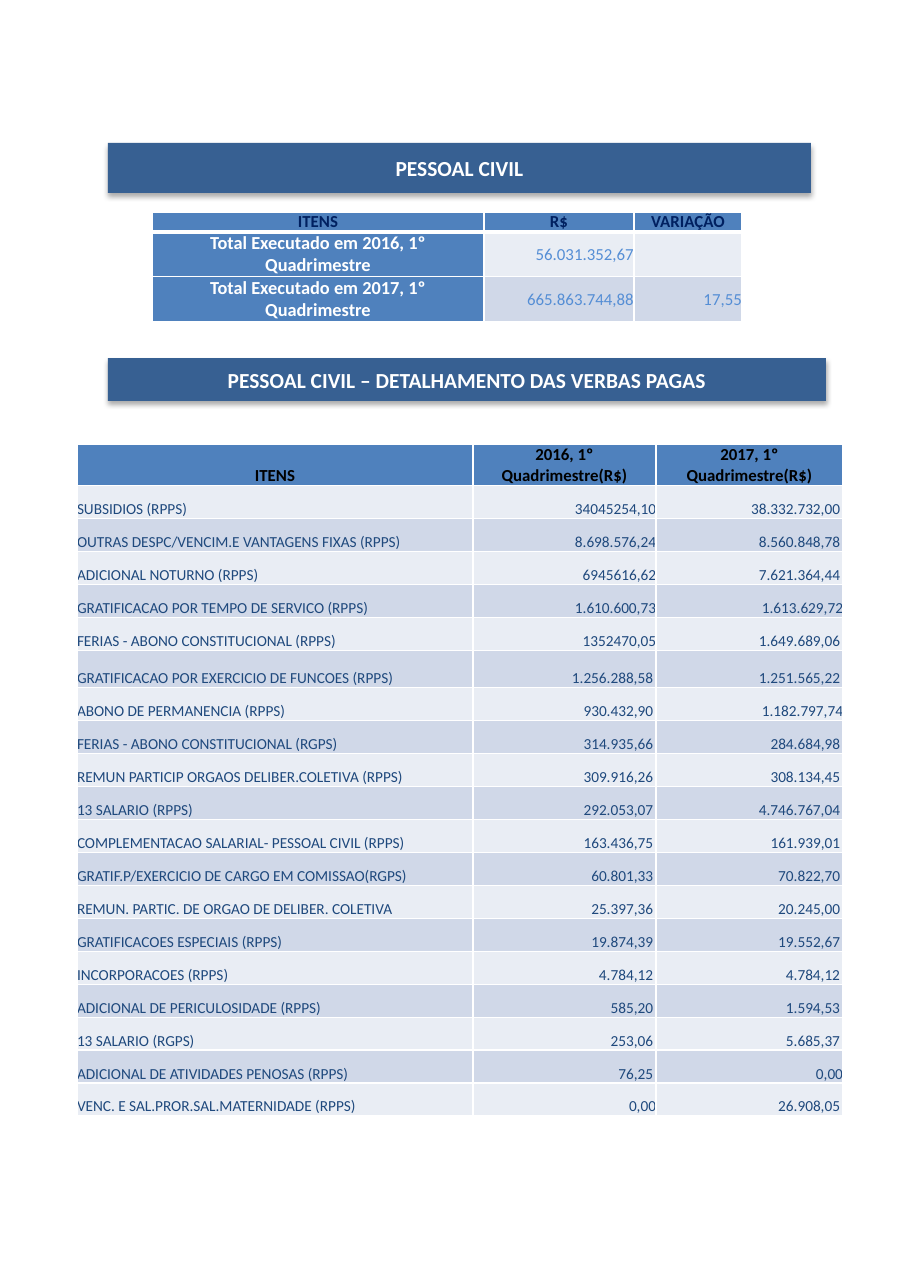
from dataclasses import dataclass

from pptx import Presentation
from pptx.dml.color import RGBColor
from pptx.enum.shapes import MSO_SHAPE as Preset
from pptx.enum.text import MSO_ANCHOR as Anchor, PP_ALIGN as Align
from pptx.oxml import parse_xml
from pptx.oxml.ns import nsdecls, qn
from pptx.slide import Slide
from pptx.table import Table, _Cell as Cell
from pptx.text.text import TextFrame
from pptx.util import Emu, Pt

EMU_PER_PX = 8298


@dataclass(frozen=True)
class Theme:
    font: str = "Calibri"
    banner: str = "376092"
    header: str = "4F81BD"
    bands: tuple[str, str] = ("E9EDF4", "D0D8E8")
    white: str = "FFFFFF"
    black: str = "000000"
    navy: str = "002060"
    total: str = "558ED5"
    detail: str = "1F497D"
    banner_size: int = 14
    label_size: int = 12
    table_size: int = 11
    detail_size: int = 10


@dataclass(frozen=True)
class Banner:
    text: str
    left: int
    top: int
    width: int
    height: int


@dataclass(frozen=True)
class Total:
    label: str
    amount: str
    variation: str = ""


@dataclass(frozen=True)
class Payment:
    label: str
    amounts: tuple[str, str]
    flush: tuple[bool, bool] = (False, False)


THEME = Theme()
VALUE_GAP = 3
LABEL_MARGIN = 44

BANNERS = [
    Banner("PESSOAL CIVIL", 108, 143, 703, 50),
    Banner("PESSOAL CIVIL – DETALHAMENTO DAS VERBAS PAGAS", 108, 358, 718, 43),
]
TOTAL_HEADINGS = ["ITENS", "R$", "VARIAÇÃO"]
TOTALS = [
    Total("Total Executado em 2016, 1º Quadrimestre", "56.031.352,67"),
    Total("Total Executado em 2017, 1º Quadrimestre", "665.863.744,88", "17,55"),
]
PAYMENT_HEADINGS = ["ITENS", "2016, 1º Quadrimestre(R$)", "2017, 1º Quadrimestre(R$)"]
PAYMENTS = [
    Payment("SUBSIDIOS (RPPS)", ("34045254,10", "38.332.732,00"), (True, False)),
    Payment("OUTRAS DESPC/VENCIM.E VANTAGENS FIXAS (RPPS)", ("8.698.576,24", "8.560.848,78"), (True, False)),
    Payment("ADICIONAL NOTURNO (RPPS)", ("6945616,62", "7.621.364,44"), (True, False)),
    Payment("GRATIFICACAO POR TEMPO DE SERVICO (RPPS)", ("1.610.600,73", "1.613.629,72"), (True, True)),
    Payment("FERIAS - ABONO CONSTITUCIONAL (RPPS)", ("1352470,05", "1.649.689,06"), (True, False)),
    Payment("GRATIFICACAO POR EXERCICIO DE FUNCOES (RPPS)", ("1.256.288,58", "1.251.565,22")),
    Payment("ABONO DE PERMANENCIA (RPPS)", ("930.432,90", "1.182.797,74"), (False, True)),
    Payment("FERIAS - ABONO CONSTITUCIONAL (RGPS)", ("314.935,66", "284.684,98")),
    Payment("REMUN PARTICIP ORGAOS DELIBER.COLETIVA (RPPS)", ("309.916,26", "308.134,45")),
    Payment("13 SALARIO (RPPS)", ("292.053,07", "4.746.767,04")),
    Payment("COMPLEMENTACAO SALARIAL- PESSOAL CIVIL (RPPS)", ("163.436,75", "161.939,01")),
    Payment("GRATIF.P/EXERCICIO DE CARGO EM COMISSAO(RGPS)", ("60.801,33", "70.822,70")),
    Payment("REMUN. PARTIC. DE ORGAO DE DELIBER. COLETIVA", ("25.397,36", "20.245,00")),
    Payment("GRATIFICACOES ESPECIAIS (RPPS)", ("19.874,39", "19.552,67")),
    Payment("INCORPORACOES (RPPS)", ("4.784,12", "4.784,12")),
    Payment("ADICIONAL DE PERICULOSIDADE (RPPS)", ("585,20", "1.594,53")),
    Payment("13 SALARIO (RGPS)", ("253,06", "5.685,37")),
    Payment("ADICIONAL DE ATIVIDADES PENOSAS (RPPS)", ("76,25", "0,00"), (False, True)),
    Payment("VENC. E SAL.PROR.SAL.MATERNIDADE (RPPS)", ("0,00", "26.908,05"), (True, False)),
]
PAYMENT_HEIGHTS = [41] + [33] * 5 + [37] + [33] * 13


def px(length: int) -> Emu:
    return Emu(length * EMU_PER_PX)


def write_text(frame: TextFrame, text: str, *, size: int, color: str,
               bold: bool = False, align: Align = Align.CENTER) -> None:
    paragraph = frame.paragraphs[0]
    paragraph.alignment = align
    run = paragraph.add_run()
    run.text = text
    run.font.name = THEME.font
    run.font.size = Pt(size)
    run.font.bold = bold
    run.font.color.rgb = RGBColor.from_string(color)


def draw_banner(slide: Slide, banner: Banner) -> None:
    shape = slide.shapes.add_shape(Preset.RECTANGLE, px(banner.left), px(banner.top),
                                   px(banner.width), px(banner.height))
    shape.fill.solid()
    shape.fill.fore_color.rgb = RGBColor.from_string(THEME.banner)
    shape.line.fill.background()
    shape.shadow.inherit = False
    effects = shape._element.spPr.find(qn("a:effectLst"))
    effects.append(parse_xml(
        f'<a:outerShdw {nsdecls("a")} blurRad="{Pt(3.5)}" dist="{Pt(2.2)}" dir="5400000" rotWithShape="0">'
        f'<a:srgbClr val="{THEME.black}"><a:alpha val="32000"/></a:srgbClr></a:outerShdw>'))
    shape.text_frame.word_wrap = True
    shape.text_frame.vertical_anchor = Anchor.MIDDLE
    write_text(shape.text_frame, banner.text, size=THEME.banner_size, color=THEME.white, bold=True)


def draw_table(slide: Slide, left: int, top: int, widths: list[int], heights: list[int]) -> Table:
    frame = slide.shapes.add_table(len(heights), len(widths), px(left), px(top),
                                   px(sum(widths)), px(sum(heights)))
    table = frame.table
    table.first_row = table.horz_banding = False
    for column, width in zip(table.columns, widths):
        column.width = px(width)
    for row, height in zip(table.rows, heights):
        row.height = px(height)
    return table


def fill_cell(cell: Cell, text: str, *, fill: str, size: int, color: str, bold: bool = False,
              align: Align = Align.CENTER, anchor: Anchor = Anchor.BOTTOM, left: int = 0,
              right: int = 0, top_line: int = 1, bottom_line: int = 1) -> None:
    cell.margin_left, cell.margin_right = px(left), px(right)
    cell.margin_top = cell.margin_bottom = 0
    cell.vertical_anchor = anchor
    properties = cell._tc.get_or_add_tcPr()
    for side, width in zip("LRTB", (1, 1, top_line, bottom_line)):
        properties.append(parse_xml(
            f'<a:ln{side} {nsdecls("a")} w="{Pt(width)}"><a:solidFill>'
            f'<a:srgbClr val="{THEME.white}"/></a:solidFill></a:ln{side}>'))
    cell.fill.solid()
    cell.fill.fore_color.rgb = RGBColor.from_string(fill)
    if text:
        write_text(cell.text_frame, text, size=size, color=color, bold=bold, align=align)


def draw_totals(slide: Slide) -> None:
    table = draw_table(slide, 152, 211, [332, 150, 108], [20, 45, 45])
    for column, heading in enumerate(TOTAL_HEADINGS):
        fill_cell(table.cell(0, column), heading, fill=THEME.header, size=THEME.table_size,
                  color=THEME.navy, bold=True, top_line=3, bottom_line=3,
                  anchor=Anchor.BOTTOM if column else Anchor.TOP)
    for index, total in enumerate(TOTALS):
        row, top_line = index + 1, 1 if index else 3
        fill_cell(table.cell(row, 0), total.label, fill=THEME.header, size=THEME.label_size,
                  color=THEME.white, bold=True, anchor=Anchor.MIDDLE, left=LABEL_MARGIN,
                  right=LABEL_MARGIN, top_line=top_line)
        for column, value in enumerate((total.amount, total.variation), start=1):
            fill_cell(table.cell(row, column), value, fill=THEME.bands[index], size=THEME.table_size,
                      color=THEME.total, align=Align.RIGHT, anchor=Anchor.MIDDLE, top_line=top_line)


def draw_payments(slide: Slide) -> None:
    table = draw_table(slide, 77, 444, [396, 183, 187], PAYMENT_HEIGHTS)
    for column, heading in enumerate(PAYMENT_HEADINGS):
        fill_cell(table.cell(0, column), heading, fill=THEME.header, size=THEME.table_size,
                  color=THEME.black, bold=True)
    for index, payment in enumerate(PAYMENTS):
        row, band = index + 1, THEME.bands[index % 2]
        fill_cell(table.cell(row, 0), payment.label, fill=band, size=THEME.detail_size,
                  color=THEME.detail, align=Align.LEFT)
        for column, (amount, flush) in enumerate(zip(payment.amounts, payment.flush), start=1):
            fill_cell(table.cell(row, column), amount, fill=band, size=THEME.detail_size,
                      color=THEME.detail, align=Align.RIGHT, right=0 if flush else VALUE_GAP)


def main() -> None:
    presentation = Presentation()
    presentation.slide_width, presentation.slide_height = px(911), px(1288)
    slide = presentation.slides.add_slide(presentation.slide_layouts[6])
    draw_totals(slide)
    for banner in BANNERS:
        draw_banner(slide, banner)
    draw_payments(slide)
    presentation.save("out.pptx")


if __name__ == "__main__":
    main()
